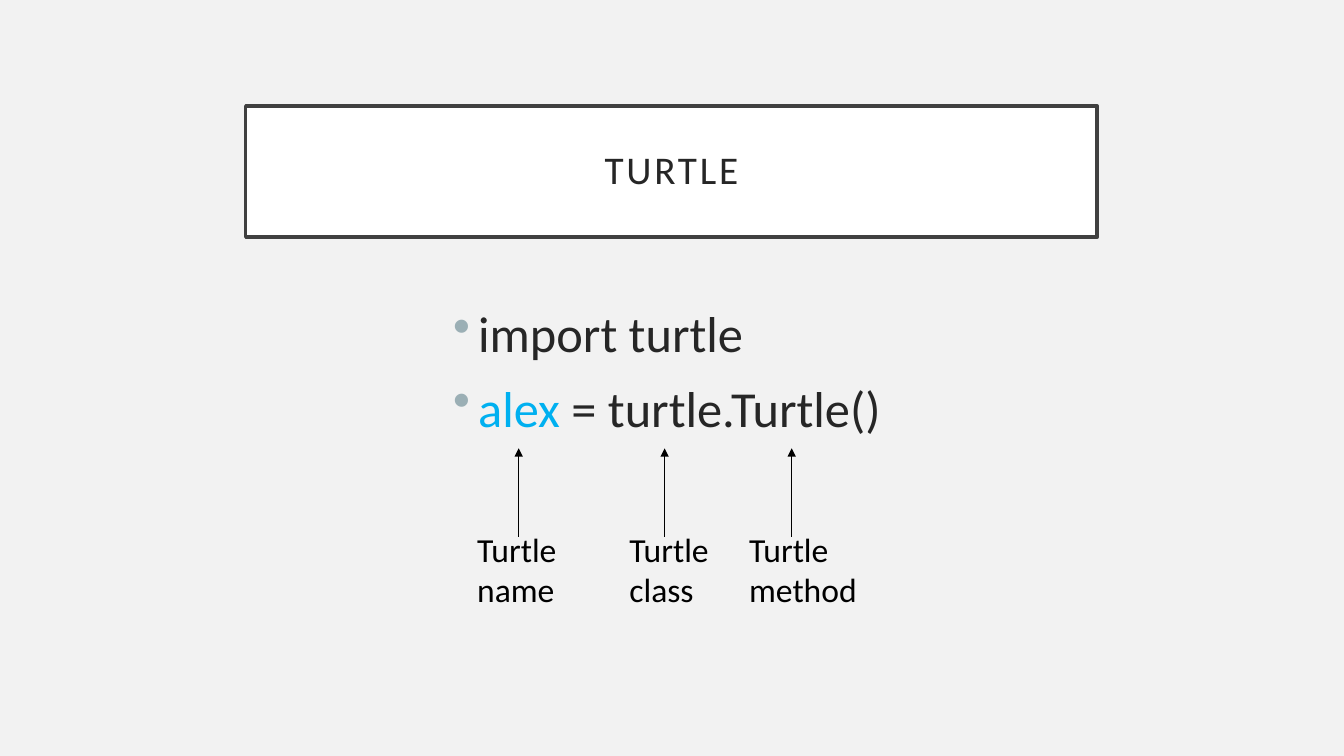
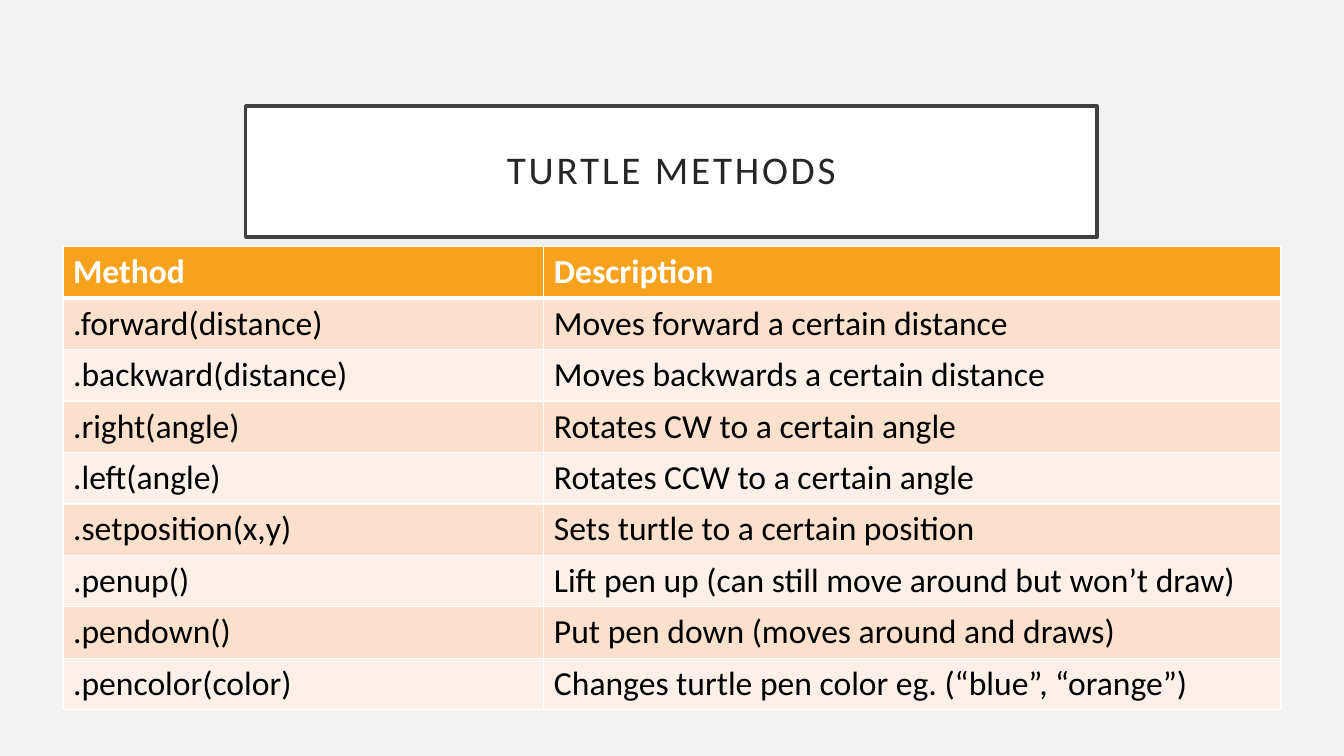
import lxml.etree
import pptx
import pptx.dml.color
import pptx.enum.shapes
import pptx.enum.text
import pptx.oxml.ns
import pptx.util

FONT = "Calibri"
BACKGROUND, WHITE, BLACK = "F2F2F2", "FFFFFF", "000000"
INK, FRAME, BULLET, NAME = "262626", "404040", "9BAFB5", "00B0F0"
HEADER, BANDS = "F6A21D", ("FDF0E8", "FBE0CD")

LABELS = [
    ("Turtle name", 445, 111, 494),
    ("Turtle class", 590, 111, 633),
    ("Turtle method", 704, 129, 754),
]
METHODS = [
    ("Method", "Description"),
    (".forward(distance)", "Moves forward a certain distance"),
    (".backward(distance)", "Moves backwards a certain distance"),
    (".right(angle)", "Rotates CW to a certain angle"),
    (".left(angle)", "Rotates CCW to a certain angle"),
    (".setposition(x,y)", "Sets turtle to a certain position"),
    (".penup()", "Lift pen up (can still move around but won’t draw)"),
    (".pendown()", "Put pen down (moves around and draws)"),
    (".pencolor(color)", "Changes turtle pen color eg. (“blue”, “orange”)"),
]


def px(n):
    """Turn pixels into EMU."""
    return pptx.util.Emu(n * 9525)


def rgb(color):
    """Turn a hex string into a colour."""
    return pptx.dml.color.RGBColor.from_string(color)


def put(obj, values):
    """Set each attribute in a dict of format values."""
    for name, value in values.items():
        setattr(obj, name, value)


def node(parent, tag, **attributes):
    """Append a drawing element to a parent."""
    return lxml.etree.SubElement(parent, pptx.oxml.ns.qn(tag), attributes)


def fill(obj, color):
    """Give a shape, cell or background a solid fill."""
    obj.fill.solid()
    obj.fill.fore_color.rgb = rgb(color)


def stroke(line, color, width):
    """Set a line's colour and its width in points."""
    line.color.rgb = rgb(color)
    line.width = pptx.util.Pt(width)


def add_run(p, text, size, color, bold=False):
    """Add a formatted run to a paragraph."""
    r = p.add_run()
    r.text = text
    put(r.font, {"name": FONT, "size": pptx.util.Pt(size), "bold": bold})
    r.font.color.rgb = rgb(color)
    return r


def add_title(s, text):
    """Add the framed title."""
    sp = s.shapes.add_shape(
        pptx.enum.shapes.MSO_SHAPE.RECTANGLE, px(234), px(101), px(811), px(125)
    )
    sp.shadow.inherit = False
    fill(sp, WHITE)
    stroke(sp.line, FRAME, 2.5)
    tf = sp.text_frame
    put(tf, {"word_wrap": True, "vertical_anchor": pptx.enum.text.MSO_ANCHOR.MIDDLE})
    sides = ("left", "top", "right", "bottom")
    put(tf, {f"margin_{side}": px(19) for side in sides})
    p = tf.paragraphs[0]
    put(p, {"alignment": pptx.enum.text.PP_ALIGN.CENTER, "line_spacing": 0.9})
    r = add_run(p, text, 28, INK)
    r.font._element.set("spc", "200")


def add_text(s, x, y, w, h):
    """Add a wrapping text box and return its frame."""
    tf = s.shapes.add_textbox(px(x), px(y), px(w), px(h)).text_frame
    tf.word_wrap = True
    return tf


def add_bullets(s, items):
    """Add the bulleted code lines, each a list of coloured runs."""
    tf = add_text(s, 422, 283, 448, 189)
    for i, runs in enumerate(items):
        p = tf.add_paragraph() if i else tf.paragraphs[0]
        p.space_before = pptx.util.Pt(10)
        pPr = p._p.get_or_add_pPr()
        pPr.set("marL", str(px(24)))
        pPr.set("indent", str(px(-24)))
        node(node(pPr, "a:buClr"), "a:srgbClr", val=BULLET)
        node(pPr, "a:buChar", char="•")
        for text, color in runs:
            add_run(p, text, 36, color)


def add_label(s, text, x, w):
    """Add a label under the code."""
    tf = add_text(s, x, 499, w, 87)
    tf.auto_size = pptx.enum.text.MSO_AUTO_SIZE.SHAPE_TO_FIT_TEXT
    add_run(tf.paragraphs[0], text, 24, BLACK)


def add_arrow(s, x):
    """Add an upward arrow from a label to the code."""
    c = s.shapes.add_connector(
        pptx.enum.shapes.MSO_CONNECTOR.STRAIGHT, px(x), px(511), px(x), px(427)
    )
    stroke(c.line, BLACK, 0.5)
    node(c.line._get_or_add_ln(), "a:tailEnd", type="triangle")
    node(c._element.spPr, "a:effectLst")


def add_borders(cell, bottom):
    """Give a cell white borders, with its own bottom width."""
    tcPr = cell._tc.get_or_add_tcPr()
    for side, width in {"L": 1, "R": 1, "T": 1, "B": bottom}.items():
        ln = node(tcPr, f"a:ln{side}", w=str(pptx.util.Pt(width)))
        node(node(ln, "a:solidFill"), "a:srgbClr", val=WHITE)


def add_table(s, rows, widths, x, y, row_height):
    """Add a banded table with a header row."""
    table = s.shapes.add_table(
        len(rows), len(widths), px(x), px(y), px(sum(widths)), px(row_height * len(rows))
    ).table
    for column, width in zip(table.columns, widths):
        column.width = px(width)
    for i, row in enumerate(rows):
        table.rows[i].height = px(row_height)
        head = i == 0
        for j, text in enumerate(row):
            cell = table.cell(i, j)
            add_borders(cell, 3 if head else 1)
            fill(cell, HEADER if head else BANDS[i % 2])
            p = cell.text_frame.paragraphs[0]
            add_run(p, text, 24, WHITE if head else BLACK, head)


def add_slide(prs, title):
    """Add a blank slide with the shared title."""
    s = prs.slides.add_slide(prs.slide_layouts[6])
    add_title(s, title)
    return s


def main():
    """Build and save the presentation."""
    prs = pptx.Presentation()
    put(prs, {"slide_width": px(1280), "slide_height": px(720)})
    fill(prs.slide_master.background, BACKGROUND)

    s = add_slide(prs, "TURTLE")
    add_bullets(s, [
        [("import turtle", INK)],
        [("alex", NAME), (" = turtle.Turtle()", INK)],
    ])
    for text, x, w, arrow_x in LABELS:
        add_label(s, text, x, w)
        add_arrow(s, arrow_x)

    s = add_slide(prs, "TURTLE METHODS")
    add_table(s, METHODS, (458, 702), 60, 235, 49)
    prs.save("out.pptx")


if __name__ == "__main__":
    main()
